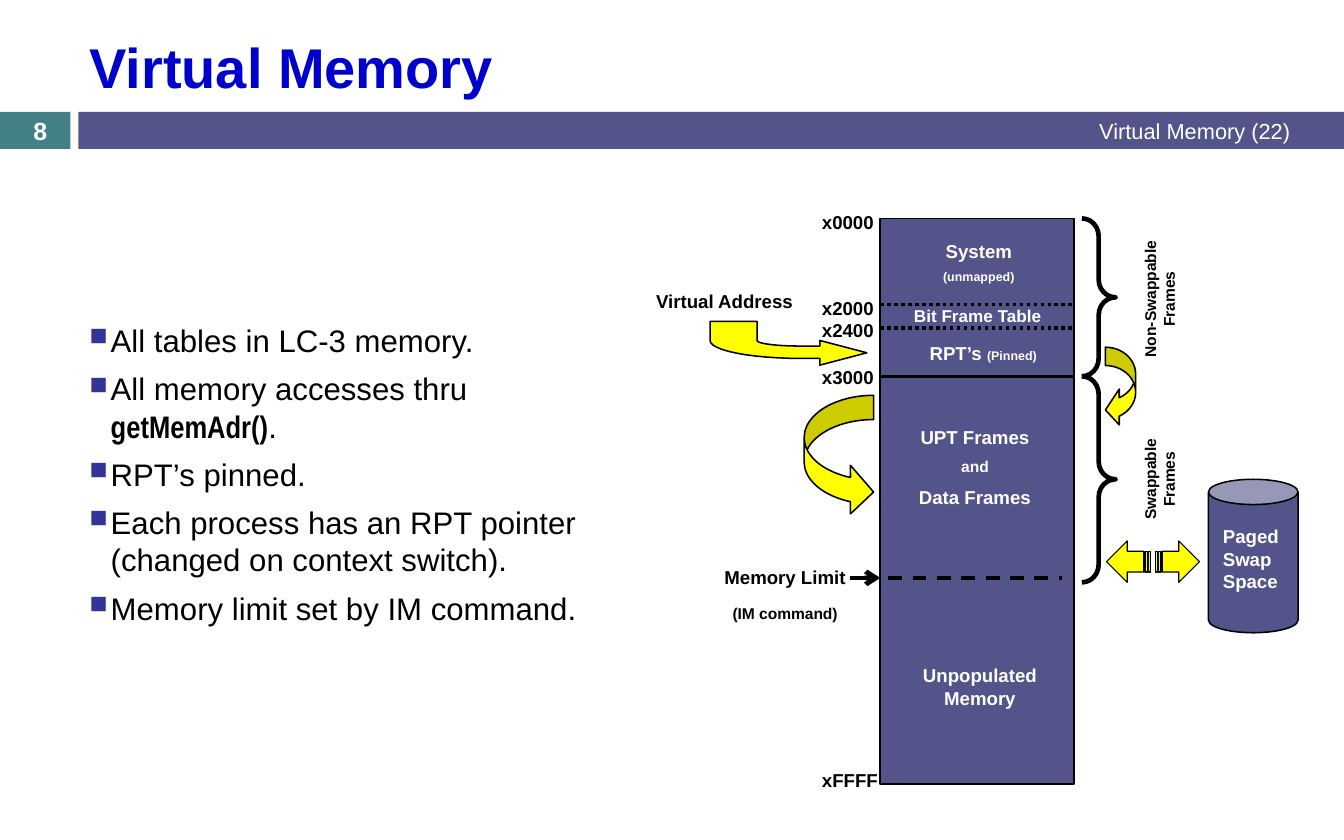
from math import cos, pi, sin

from pptx import Presentation
from pptx.dml.color import RGBColor
from pptx.enum.dml import MSO_LINE
from pptx.enum.shapes import MSO_CONNECTOR, MSO_SHAPE
from pptx.enum.text import MSO_ANCHOR, PP_ALIGN
from pptx.oxml.ns import qn
from pptx.util import Inches, Pt
from lxml import etree

STRAIGHT = MSO_CONNECTOR.STRAIGHT
RECTANGLE, CAN, BRACE = MSO_SHAPE.RECTANGLE, MSO_SHAPE.CAN, MSO_SHAPE.RIGHT_BRACE
CURVED_LEFT, CURVED_RIGHT = MSO_SHAPE.CURVED_LEFT_ARROW, MSO_SHAPE.CURVED_RIGHT_ARROW
STRIPED = MSO_SHAPE.STRIPED_RIGHT_ARROW
DASH, DOTS = MSO_LINE.DASH, MSO_LINE.ROUND_DOT
LEFT, CENTER, RIGHT = PP_ALIGN.LEFT, PP_ALIGN.CENTER, PP_ALIGN.RIGHT
TOP, MIDDLE = MSO_ANCHOR.TOP, MSO_ANCHOR.MIDDLE
COLUMNS, ROWS = 12, 7.5
BLACK, WHITE, YELLOW = "000000", "FFFFFF", "FFFF00"
INDIGO, TEAL, BLUE, NAVY = "53548A", "438086", "0000CC", "333399"


def color(value):
    """Turn a hex string into a colour."""
    return RGBColor.from_string(value)


class Sketch:
    """Draws styled elements on one slide, placed by grid columns and rows."""

    font = "Arial"

    def __init__(self, deck):
        """Add a blank slide and measure its grid."""
        self.slide = deck.slides.add_slide(deck.slide_layouts[6])
        self.shapes = self.slide.shapes
        self.column = deck.slide_width / COLUMNS
        self.row = deck.slide_height / ROWS

    def place(self, *lengths):
        """Convert alternating columns and rows to slide units."""
        units = (self.column, self.row)
        return [round(length * units[i % 2]) for i, length in enumerate(lengths)]

    def paint(self, shape, fill, line, width):
        """Set fill and outline, and drop the shadow."""
        shape.shadow.inherit = False
        if fill:
            shape.fill.solid()
            shape.fill.fore_color.rgb = color(fill)
        else:
            shape.fill.background()
        if line:
            shape.line.color.rgb = color(line)
            shape.line.width = Pt(width)
        else:
            shape.line.fill.background()

    def shape(self, kind, at, fill=None, line=BLACK, width=1, adjust=(), flip=False):
        """Add a preset shape."""
        shape = self.shapes.add_shape(kind, *self.place(*at))
        self.paint(shape, fill, line, width)
        for i, value in enumerate(adjust):
            shape.adjustments[i] = value
        if flip:
            shape._element.spPr.find(qn("a:xfrm")).set("flipH", "1")

    def outline(self, points, fill):
        """Add a closed freeform."""
        start, *rest = [self.place(*point) for point in points]
        builder = self.shapes.build_freeform(*start)
        builder.add_line_segments(rest, close=True)
        self.paint(builder.convert_to_shape(), fill, BLACK, 1)

    def line(self, left, right, row, width=2.25, dash=None, arrow=False):
        """Add a level line."""
        line = self.shapes.add_connector(STRAIGHT, *self.place(left, row, right, row))
        line.line.color.rgb = color(BLACK)
        line.line.width = Pt(width)
        if dash:
            line.line.dash_style = dash
        if arrow:
            etree.SubElement(line.line._get_or_add_ln(), qn("a:tailEnd"), type="arrow")
        etree.SubElement(line._element.spPr, qn("a:effectLst"))

    def style(self, span, size, ink, bold, font=None):
        """Format one run."""
        span.font.name = font or self.font
        span.font.size = Pt(size)
        span.font.bold = bold
        span.font.color.rgb = color(ink)

    def text(self, words, at, sizes=(12,), ink=BLACK, align=LEFT, bold=True,
             anchor=TOP, gaps=(), margin=None, turn=0):
        """Add a text box with one paragraph per line of words."""
        box = self.shapes.add_textbox(*self.place(*at))
        box.rotation = turn
        frame = box.text_frame
        frame.word_wrap = not turn
        frame.vertical_anchor = anchor
        if margin is not None:
            frame.margin_left = frame.margin_right = margin
            frame.margin_top = frame.margin_bottom = margin
        frame.text = words
        for i, para in enumerate(frame.paragraphs):
            para.alignment = align
            if i and gaps:
                para.space_before = Pt(gaps[i - 1])
            for span in para.runs:
                self.style(span, sizes[i % len(sizes)], ink, bold)
        return frame.paragraphs

    def append(self, para, words, size, ink, bold, font=None):
        """Add a run to a paragraph."""
        span = para.add_run()
        span.text = words
        self.style(span, size, ink, bold, font)

    def bullet(self, para):
        """Give a paragraph a hanging square bullet."""
        properties = para._p.get_or_add_pPr()
        properties.set("marL", str(Inches(0.19)))
        properties.set("indent", str(-Inches(0.19)))
        tint = etree.SubElement(properties, qn("a:buClr"))
        etree.SubElement(tint, qn("a:srgbClr"), val=NAVY)
        etree.SubElement(properties, qn("a:buSzPct"), val="80000")
        etree.SubElement(properties, qn("a:buChar"), char="■")


def quarter(center, radii, start):
    """List points on a quarter ellipse, from an angle in quarter turns."""
    angles = [(start + step / 12) * pi / 2 for step in range(13)]
    return [(center[0] + radii[0] * cos(a), center[1] + radii[1] * sin(a)) for a in angles]


def draw_header(sketch):
    """Draw the title and the band under it."""
    sketch.shape(RECTANGLE, (0, 1, 0.63, 0.33), TEAL, None)
    sketch.shape(RECTANGLE, (0.7, 1, 11.3, 0.33), INDIGO, None)
    sketch.text("Virtual Memory", (0.7, 0.19, 10.91, 0.8), (36,), BLUE, anchor=MIDDLE)
    sketch.text("Virtual Memory (22)", (6.17, 1, 5.45, 0.33), (14,), WHITE, RIGHT, False, MIDDLE)
    sketch.text("8", (0, 1.02, 0.72, 0.3), (16,), WHITE, CENTER, anchor=MIDDLE)


def draw_points(sketch):
    """Write the bulleted list."""
    points = ("All tables in LC-3 memory.", "All memory accesses thru ", "RPT’s pinned.",
              "Each process has an RPT pointer (changed on context switch).",
              "Memory limit set by IM command.")
    paras = sketch.text("\n".join(points), (0.7, 2.82, 4.59, 3.68), (20,), bold=False,
                        gaps=(7,) * 4)
    for para in paras:
        sketch.bullet(para)
    sketch.append(paras[1], "getMemAdr()", 20, BLACK, True, "Arial Narrow")
    sketch.append(paras[1], ".", 20, BLACK, False)


def draw_memory(sketch):
    """Draw the memory map with its regions and addresses."""
    left, right = 7.86, 9.59
    sketch.shape(RECTANGLE, (left, 1.95, right - left, 5.05), INDIGO)
    for row, dash in ((2.72, DOTS), (2.93, DOTS), (3.36, None)):
        sketch.line(left, right, row, dash=dash)
    sketch.line(7.93, 9.48, 5.16, dash=DASH)
    sketch.line(7.59, left, 5.16, 3, arrow=True)
    addresses = {"x0000": 1.83, "x2000": 2.6, "x2400": 2.8, "x3000": 3.22, "xFFFF": 6.82}
    for address, row in addresses.items():
        sketch.text(address, (7.24, row, 0.78, 0.3))
    inside = {"ink": WHITE, "align": CENTER}
    sketch.text("System\n(unmapped)", (7.89, 2.09, 1.7, 0.5), (12, 8), gaps=(4.6,), **inside)
    sketch.text("Bit Frame Table", (7.9, 2.73, 1.66, 0.19), (11,), margin=0, **inside)
    pinned = sketch.text("RPT’s ", (7.9, 3, 1.76, 0.3), **inside)[0]
    sketch.append(pinned, "(Pinned)", 8, WHITE, True)
    sketch.text("UPT Frames\nand\nData Frames", (7.9, 3.75, 1.61, 0.86), (12, 10, 12),
                gaps=(5.75, 6.9), **inside)
    sketch.text("Unpopulated\nMemory", (7.9, 5.88, 1.7, 0.5), **inside)


def draw_surroundings(sketch):
    """Draw the arrows, braces and swap space around the memory map."""
    sketch.text("Memory Limit\n(IM command)", (6.31, 5, 1.4, 0.61), (12, 10), align=CENTER,
                gaps=(10,))
    sketch.text("Virtual Address", (5.76, 2.54, 1.49, 0.3))
    bend = (7.15, 3.04)
    sketch.outline([(7.74, 3.15), (7.32, 3.26), (7.32, 3.2)]
                   + quarter(bend, (0.81, 0.16), 1) + [(6.34, 2.87), (6.76, 2.87)]
                   + quarter(bend, (0.39, 0.05), 1)[::-1]
                   + [(7.32, 3.09), (7.32, 3.04)], YELLOW)
    sketch.shape(CURVED_LEFT, (9.87, 3.1, 0.27, 0.72), YELLOW, adjust=(0.607, 1.183, 0.458))
    sketch.shape(CURVED_RIGHT, (7.18, 3.53, 0.62, 1.08), YELLOW, adjust=(0.349, 0.699, 0.333))
    for words, top, height, label in (
            ("Swappable\nFrames", 3.36, 1.84, (9.89, 4.06, 0.93, 0.44)),
            ("Non-Swappable\nFrames", 1.95, 1.41, (9.73, 2.45, 1.25, 0.44))):
        sketch.shape(BRACE, (9.66, top, 0.3, height), width=3, adjust=(0.53, 0.5))
        sketch.text(words, label, (10,), align=CENTER, turn=270)
    sketch.shape(CAN, (10.79, 4.28, 0.8, 1.37), INDIGO, adjust=(0.282,))
    sketch.text("Paged\nSwap\nSpace", (10.82, 4.64, 0.8, 0.71), ink=WHITE)
    for column, flip in ((10.32, False), (9.88, True)):
        sketch.shape(STRIPED, (column, 4.83, 0.39, 0.37), YELLOW, width=0.75, flip=flip)


def main():
    """Build the deck and save it."""
    deck = Presentation()
    deck.slide_width, deck.slide_height = Inches(12), Inches(7.5)
    sketch = Sketch(deck)
    for draw in (draw_header, draw_points, draw_memory, draw_surroundings):
        draw(sketch)
    deck.save("out.pptx")


if __name__ == "__main__":
    main()
